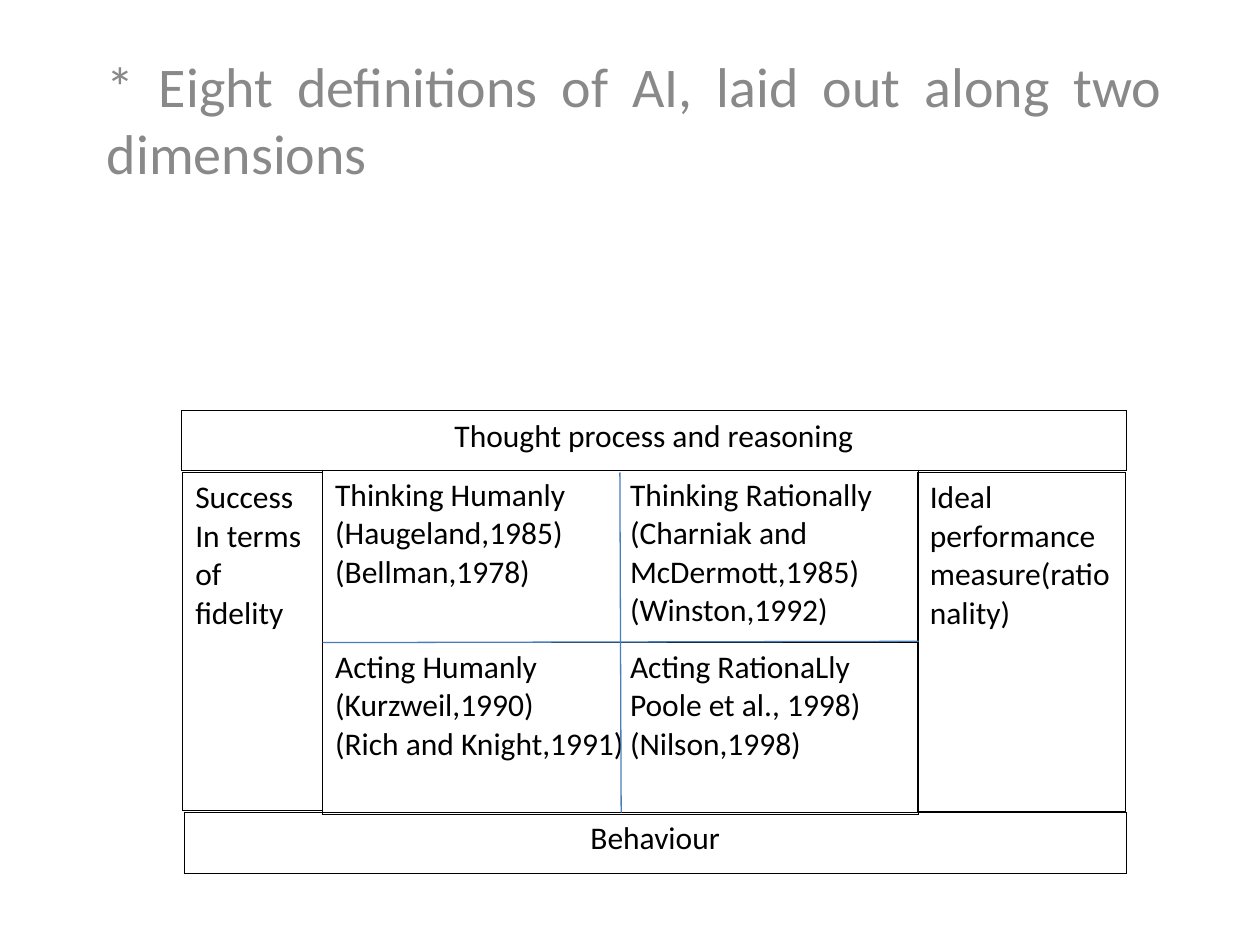
from lxml.etree import SubElement
from pptx import Presentation
from pptx.dml.color import RGBColor
from pptx.enum.shapes import MSO_CONNECTOR as Connector
from pptx.enum.text import PP_ALIGN as Align
from pptx.oxml.ns import qn
from pptx.util import Inches, Pt

TITLE = "* Eight definitions of AI, laid out along two dimensions"
BLACK, GREY, BLUE = "000000", "898989", "4A7EBB"
RATIONAL_TAB = 2.34

PANELS = [
    ((1.44, 3.26, 7.5, 0.47), Align.CENTER, [["Thought process and reasoning"]]),
    ((1.45, 3.75, 1.11, 2.68), Align.LEFT, [["Success", "In terms", "of fidelity"]]),
    ((1.46, 6.45, 7.48, 0.48), Align.CENTER, [["Behaviour"]]),
    ((7.28, 3.75, 1.65, 2.69), Align.LEFT, [["Ideal performance measure(rationality)"]]),
    ((2.56, 3.73, 4.73, 2.73), Align.LEFT, [
        ["Thinking Humanly\tThinking Rationally",
         "(Haugeland,1985)\t(Charniak and",
         "(Bellman,1978)\tMcDermott,1985)",
         "\t(Winston,1992)"],
        ["Acting Humanly\tActing RationaLly",
         "(Kurzweil,1990)\tPoole et al., 1998)",
         "(Rich and Knight,1991)\t(Nilson,1998)"],
    ]),
]
DIVIDERS = [(4.92, 3.75, 4.93, 6.45), (2.56, 5.1, 7.29, 5.09)]


def rgb(color):
    """Turn a hex string into a colour."""
    return RGBColor.from_string(color)


def write(frame, lines, size, color, align):
    """Fill a text frame with one paragraph per line."""
    frame.text = "\n".join(lines)
    for paragraph in frame.paragraphs:
        if "\t" in paragraph.text:
            stops = SubElement(paragraph._p.get_or_add_pPr(), qn("a:tabLst"))
            SubElement(stops, qn("a:tab"), pos=str(Inches(RATIONAL_TAB)), algn="l")
        paragraph.alignment = align
        paragraph.font.name = "Calibri"
        paragraph.font.size = Pt(size)
        paragraph.font.color.rgb = rgb(color)


def outline(cell):
    """Draw a thin black border on every side of a cell."""
    properties = cell._tc.get_or_add_tcPr()
    for side in ("lnL", "lnR", "lnT", "lnB"):
        border = SubElement(properties, qn(f"a:{side}"), w=str(Pt(0.45)))
        fill = SubElement(border, qn("a:solidFill"))
        SubElement(fill, qn("a:srgbClr"), val=BLACK)


def add_panel(slide, box, align, rows):
    """Add a one-column bordered table."""
    table = slide.shapes.add_table(len(rows), 1, *map(Inches, box)).table
    table.first_row = table.horz_banding = False
    for row, lines in enumerate(rows):
        cell = table.cell(row, 0)
        outline(cell)
        cell.fill.background()
        write(cell.text_frame, lines, 18, BLACK, align)


def add_divider(slide, ends):
    """Add a thin blue line between quadrants."""
    divider = slide.shapes.add_connector(Connector.STRAIGHT, *map(Inches, ends))
    divider.line.color.rgb = rgb(BLUE)
    divider.line.width = Pt(0.75)
    SubElement(divider._element.spPr, qn("a:effectLst"))


def main():
    """Build and save the slide."""
    deck = Presentation()
    deck.slide_width, deck.slide_height = Inches(10), Inches(7.5)
    slide = deck.slides.add_slide(deck.slide_layouts[6])
    title = slide.shapes.add_textbox(*map(Inches, (0.75, 0.36, 8.58, 6.46))).text_frame
    title.word_wrap = True
    write(title, [TITLE], 32, GREY, Align.JUSTIFY)
    for panel in PANELS:
        add_panel(slide, *panel)
    for ends in DIVIDERS:
        add_divider(slide, ends)
    deck.save("out.pptx")


if __name__ == "__main__":
    main()
